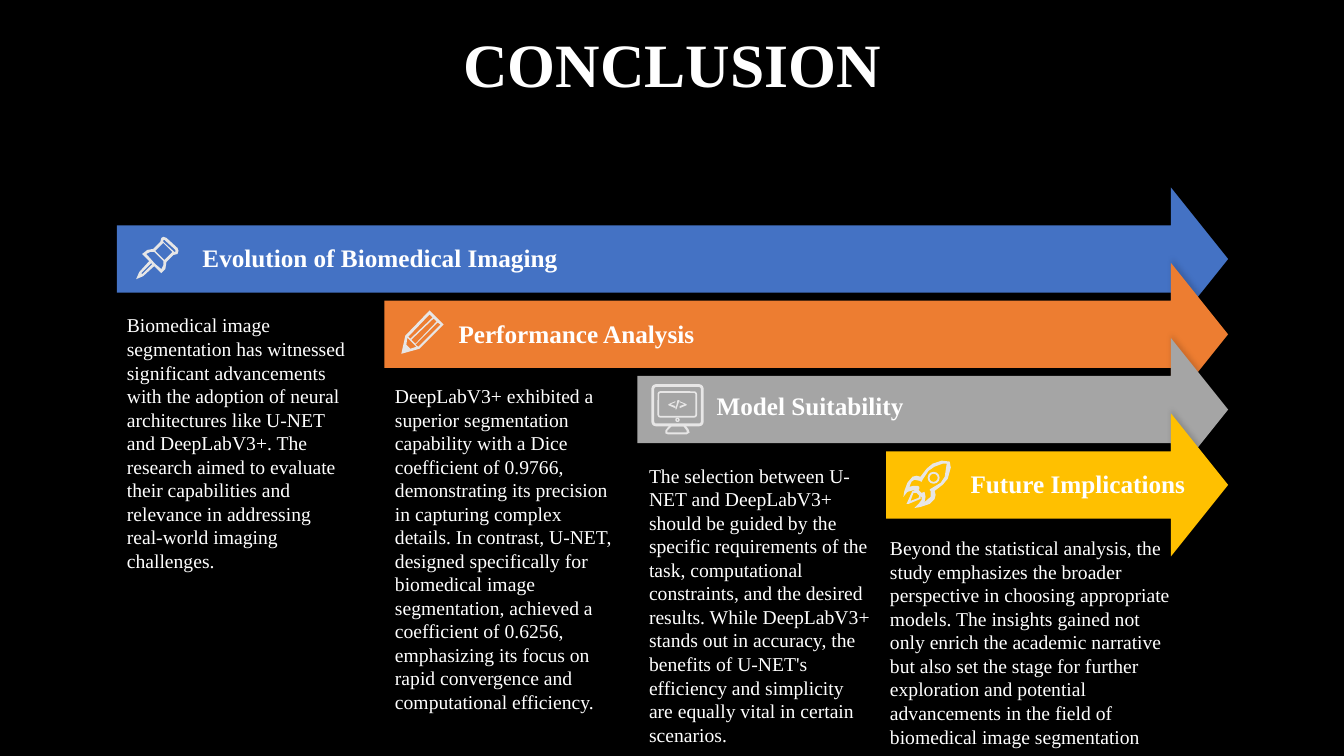
import pptx
import pptx.dml.color
import pptx.enum.shapes
import pptx.enum.text
import pptx.oxml
import pptx.util

SHAPE = pptx.enum.shapes.MSO_SHAPE
ALIGN = pptx.enum.text.PP_ALIGN
ANCHOR = pptx.enum.text.MSO_ANCHOR
W, H = pptx.util.Inches(13.33), pptx.util.Inches(7.5)
UNIT = pptx.util.Inches(0.01)  # icon drawing unit
FONT = "Times New Roman"
WHITE, ICON = "FFFFFF", "E7E6E6"

# Arrow geometry, in percent of the slide
ARROW_TIP, ARROW_TOP, ARROW_STEP, ARROW_HEIGHT = 91.38, 24.8, 9.96, 18.93

# Each step: colour, arrow left, label, label box, body, body box (percent)
STEPS = [
    ("4472C4", 8.7, "Evolution of Biomedical Imaging", (14.33, 31.33, 32.18, 5.33),
     "Biomedical image segmentation has witnessed significant advancements with the "
     "adoption of neural architectures like U-NET and DeepLabV3+. The research aimed to "
     "evaluate their capabilities and relevance in addressing real-world imaging "
     "challenges.", (8.7, 40.8, 17.93, 35.87)),
    ("ED7D31", 28.6, "Performance Analysis", (33.38, 41.47, 31.95, 5.33),
     "DeepLabV3+ exhibited a superior segmentation capability with a Dice coefficient of "
     "0.9766, demonstrating its precision in capturing complex details. In contrast, "
     "U-NET, designed specifically for biomedical image segmentation, achieved a "
     "coefficient of 0.6256, emphasizing its focus on rapid convergence and "
     "computational efficiency.", (28.65, 50.13, 17.93, 45.33)),
    ("A5A5A5", 47.43, "Model Suitability", (52.58, 50.93, 25.8, 5.33),
     "The selection between U-NET and DeepLabV3+ should be guided by the specific "
     "requirements of the task, computational constraints, and the desired results. "
     "While DeepLabV3+ stands out in accuracy, the benefits of U-NET's efficiency and "
     "simplicity are equally vital in certain scenarios.", (47.55, 60.67, 17.93, 39.07)),
    ("FFC000", 65.93, "Future Implications", (71.48, 61.33, 24.6, 5.33),
     "Beyond the statistical analysis, the study emphasizes the broader perspective in "
     "choosing appropriate models. The insights gained not only enrich the academic "
     "narrative but also set the stage for further exploration and potential "
     "advancements in the field of biomedical image segmentation",
     (65.48, 70.27, 22.58, 29.6)),
]

# Icon outlines in icon units: the first contour is the edge, the rest cut holes
PIN = [
    [(30, 25), (37, 18), (41, 17), (42, 14), (41, 11), (30, 1), (27, 0), (25, 1), (24, 5),
     (17, 12), (11, 13), (6, 17), (13, 24), (3, 35), (0, 42), (7, 39), (18, 29), (25, 36),
     (29, 32)],
    [(28, 3), (39, 13), (39, 15), (38, 15), (27, 5), (27, 3)],
    [(28, 23), (19, 14), (27, 6), (36, 15)],
    [(6, 37), (5, 36), (15, 26), (16, 27)],
    [(19, 27), (10, 17), (14, 15), (18, 15), (27, 24), (27, 28), (25, 32)],
]
PENCIL = [
    [(42, 14), (28, 0), (4, 25), (0, 43), (18, 38)],
    [(17, 36), (14, 34), (36, 12), (39, 14)],
    [(9, 38), (5, 34), (6, 27), (8, 29), (14, 35), (15, 36)],
    [(35, 11), (14, 33), (10, 29), (32, 8)],
    [(28, 4), (31, 7), (9, 28), (7, 26)],
]
STAND = [
    [(18, 41), (14, 46), (14, 49), (17, 50), (35, 50), (38, 48), (37, 45), (34, 41)],
    [(20, 42), (16, 46), (16, 48), (35, 48), (35, 46), (32, 42)],
]
CODE = [
    [(17, 21), (24, 24), (24, 22), (19, 20), (24, 18), (24, 17), (17, 20)],
    [(26, 16), (28, 16), (25, 25), (24, 25)],
    [(28, 18), (33, 20), (28, 22), (28, 24), (35, 21), (35, 20), (28, 17)],
]
ROCKET = [
    [(0, 37), (1, 31), (4, 23), (9, 17), (13, 16), (17, 17), (23, 9), (29, 4), (38, 1),
     (46, 2), (47, 8), (44, 19), (39, 25), (31, 31), (32, 35), (31, 39), (26, 44),
     (17, 47), (11, 48), (15, 44), (18, 40), (18, 37), (16, 36), (11, 31), (11, 30),
     (4, 32)],
    [(31, 7), (25, 11), (19, 20), (18, 22), (16, 21), (11, 20), (8, 22), (6, 27),
     (10, 26), (14, 26), (16, 27), (16, 29), (15, 30), (18, 33), (21, 32), (22, 37),
     (21, 42), (27, 37), (27, 31), (26, 30), (27, 29), (37, 23), (41, 17), (43, 4),
     (39, 4)],
]
FLAME = [
    [(3, 44), (4, 42), (9, 31), (13, 30), (16, 32), (17, 36), (17, 39), (5, 44)],
    [(14, 33), (10, 33), (7, 41), (15, 38), (16, 35)],
]


def rgb(value):
    return pptx.dml.color.RGBColor.from_string(value)


def place(x, y, w, h):
    """Turn shares of the slide, in percent, into lengths."""
    return [round(share * side / 100) for share, side in zip((x, y, w, h), (W, H, W, H))]


def write(tf, text, size=14, bold=False, color=WHITE, align=ALIGN.LEFT, spacing=None):
    tf.word_wrap = True
    p = tf.paragraphs[0]
    p.alignment = align
    p.line_spacing = spacing
    r = p.add_run()
    r.text = text
    r.font.name, r.font.size, r.font.bold = FONT, pptx.util.Pt(size), bold
    r.font.color.rgb = rgb(color)


def fill(sp, color):
    sp.shadow.inherit = False
    sp.fill.solid()
    sp.fill.fore_color.rgb = rgb(color)
    sp.line.fill.background()


def add_text(s, box, text, **style):
    write(s.shapes.add_textbox(*place(*box)).text_frame, text, **style)


def add_arrow(s, left, row, color):
    box = place(left, ARROW_TOP + row * ARROW_STEP, ARROW_TIP - left, ARROW_HEIGHT)
    sp = s.shapes.add_shape(SHAPE.RIGHT_ARROW, *box)
    sp.adjustments[0], sp.adjustments[1] = 0.47, 0.4
    fill(sp, color)
    # Soft shadow cast upwards on the arrow behind
    effects = sp._element.spPr.find(pptx.oxml.ns.qn("a:effectLst"))
    effects.append(pptx.oxml.parse_xml(
        f'<a:outerShdw {pptx.oxml.ns.nsdecls("a")} blurRad="50800" dist="38100" '
        'dir="16200000" rotWithShape="0"><a:srgbClr val="000000">'
        '<a:alpha val="15000"/></a:srgbClr></a:outerShdw>'))


def add_outline(s, origin, contours):
    fb = s.shapes.build_freeform(*contours[0][0], scale=UNIT)
    fb.add_line_segments(contours[0][1:], close=True)
    for contour in contours[1:]:
        fb.move_to(*contour[0])
        fb.add_line_segments(contour[1:], close=True)
    fill(fb.convert_to_shape(*place(*origin, 0, 0)[:2]), ICON)


def add_ring(s, origin, kind, box, weight):
    left, top = place(*origin, 0, 0)[:2]
    x, y, w, h = [round(v * UNIT) for v in box]
    sp = s.shapes.add_shape(kind, left + x, top + y, w, h)
    sp.shadow.inherit = False
    sp.fill.background()
    sp.line.color.rgb, sp.line.width = rgb(ICON), pptx.util.Pt(weight)
    if kind == SHAPE.ROUNDED_RECTANGLE:
        sp.adjustments[0] = 0.08


def add_icons(s):
    pin, pencil, monitor, rocket = (10.13, 31.33), (29.86, 41.07), (48.46, 50.8), (67.22, 60.8)
    add_outline(s, pin, PIN)
    add_outline(s, pencil, PENCIL)
    add_ring(s, monitor, SHAPE.ROUNDED_RECTANGLE, (1.5, 1.5, 49, 39), 2)
    add_ring(s, monitor, SHAPE.ROUNDED_RECTANGLE, (7, 8, 37.5, 24.5), 1.2)
    add_ring(s, monitor, SHAPE.OVAL, (24.5, 34, 3, 3), 1)
    for contours in (STAND, CODE):
        add_outline(s, monitor, contours)
    for contours in (ROCKET, FLAME):
        add_outline(s, rocket, contours)
    add_ring(s, rocket, SHAPE.OVAL, (25, 13, 10, 10), 1.3)


def main():
    prs = pptx.Presentation()
    prs.slide_width, prs.slide_height = W, H
    s = prs.slides.add_slide(prs.slide_layouts[5])
    s.background.fill.solid()
    s.background.fill.fore_color.rgb = rgb("000000")

    # Title
    title = s.shapes.title
    title.left, title.top, title.width, title.height = place(6.9, 2.67, 86.27, 12.53)
    title.text_frame.vertical_anchor = ANCHOR.MIDDLE
    write(title.text_frame, "CONCLUSION", size=44, bold=True, align=ALIGN.CENTER, spacing=0.9)

    # Arrows, then icons and texts on top
    for row, (color, left, *_) in enumerate(STEPS):
        add_arrow(s, left, row, color)
    add_icons(s)
    for _, _, label, label_box, body, body_box in STEPS:
        add_text(s, body_box, body)
        add_text(s, label_box, label, size=18, bold=True)
    prs.save("out.pptx")


if __name__ == "__main__":
    main()
